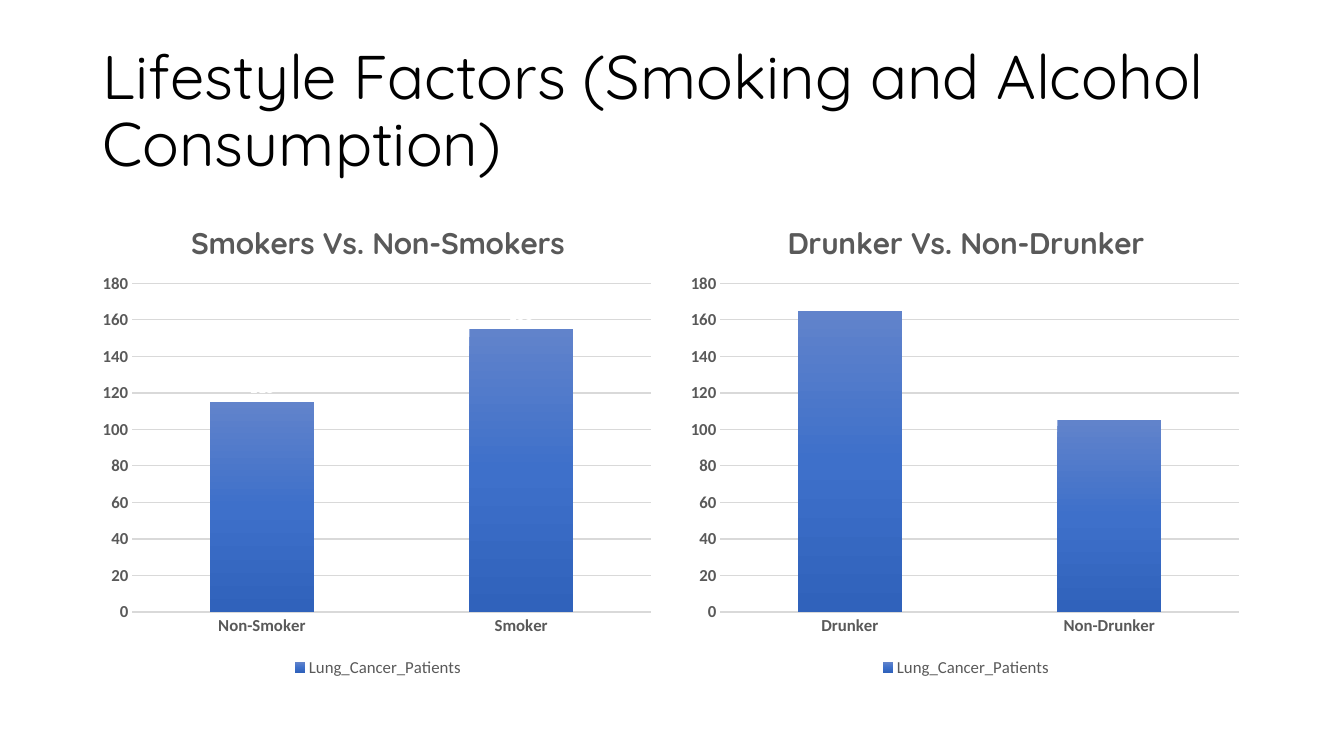
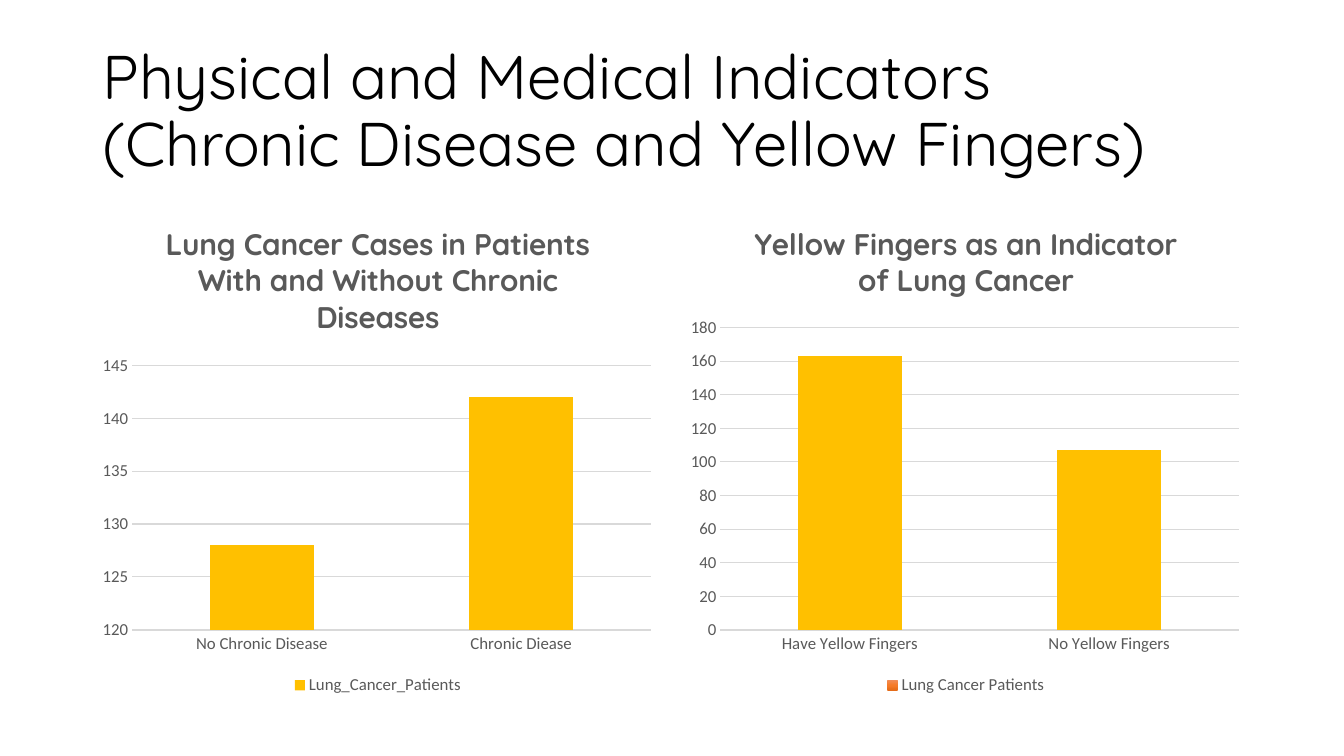
from lxml import etree
from pptx import Presentation
from pptx.chart.data import CategoryChartData
from pptx.dml.color import RGBColor
from pptx.enum.chart import (XL_CHART_TYPE, XL_LABEL_POSITION,
                             XL_LEGEND_POSITION, XL_TICK_MARK)
from pptx.enum.text import MSO_ANCHOR, MSO_AUTO_SIZE, PP_ALIGN
from pptx.oxml.ns import qn
from pptx.util import Pt

COLUMNS = XL_CHART_TYPE.COLUMN_CLUSTERED
ABOVE = XL_LABEL_POSITION.OUTSIDE_END
BOTTOM = XL_LEGEND_POSITION.BOTTOM
NO_TICK = XL_TICK_MARK.NONE
MIDDLE = MSO_ANCHOR.MIDDLE
NO_FIT = MSO_AUTO_SIZE.NONE
LEFT = PP_ALIGN.LEFT

PX = 9525  # EMU per px, 96 px to the inch
COLORS = {"title": "000000", "text": "595959", "grid": "D9D9D9",
          "label": "FFFFFF", "yellow": "FFC000"}
BLUE = ["6183CB", "3E70CA", "3062BB"]
ORANGE = ["F18C57", "F67B28", "E56C19"]
HEAD_FONT, BODY_FONT = "Quicksand", "Calibri"

# Shared layout, in px
TITLE_BOX = (88, 38, 1104, 139)
CHART_LEFTS = (88, 648)
CHART_TOP, CHART_W = 192, 544
PLOT_LEFT, PLOT_W, PLOT_BELOW = 38, 494, 66

SLIDES = [
    {"title": "Lifestyle Factors (Smoking and Alcohol Consumption)",
     "height": 457, "bold": True,
     "charts": [
         {"title": "Smokers Vs. Non-Smokers", "plot_top": 78,
          "series": "Lung_Cancer_Patients", "gradient": BLUE, "labels": True,
          "values": {"Non-Smoker": 115, "Smoker": 155}, "scale": (0, 180, 20)},
         {"title": "Drunker Vs. Non-Drunker", "plot_top": 78,
          "series": "Lung_Cancer_Patients", "gradient": BLUE,
          "values": {"Drunker": 165, "Non-Drunker": 105}, "scale": (0, 180, 20)},
     ]},
    {"title": "Physical and Medical Indicators (Chronic Disease and Yellow Fingers)",
     "height": 474, "bold": False,
     "charts": [
         {"title": "Lung Cancer Cases in Patients With and Without Chronic Diseases",
          "plot_top": 156, "series": "Lung_Cancer_Patients",
          "values": {"No Chronic Disease": 128, "Chronic Diease": 142},
          "scale": (120, 145, 5)},
         {"title": "Yellow Fingers as an Indicator of Lung Cancer",
          "plot_top": 120, "series": "Lung Cancer Patients",
          "gradient": ORANGE, "point_color": "yellow",
          "values": {"Have Yellow Fingers": 163, "No Yellow Fingers": 107},
          "scale": (0, 180, 20)},
     ]},
]


def rgb(name):
    return RGBColor.from_string(COLORS[name])


def set_font(font, name, size, color, bold=False):
    font.name, font.size, font.bold = name, Pt(size), bold
    font.color.rgb = rgb(color)


def fill_solid(fill, color):
    fill.solid()
    fill.fore_color.rgb = rgb(color)


def fill_gradient(series, stops):
    """Fill a series from top to bottom with evenly spaced stops."""
    fill = series.format.fill
    fill.gradient()
    fill.gradient_angle = 270
    gs_list = series._element.find(".//" + qn("a:gsLst"))
    for gs in list(gs_list):
        gs_list.remove(gs)
    for i, color in enumerate(stops):
        gs = etree.SubElement(gs_list, qn("a:gs"),
                              pos=str(100000 * i // (len(stops) - 1)))
        etree.SubElement(gs, qn("a:srgbClr"), val=color)


def place_plot(chart, top, height):
    """Fix the inner plot area as fractions of the chart frame."""
    area = chart.element.find(".//" + qn("c:plotArea"))
    for old in area.findall(qn("c:layout")):
        area.remove(old)
    layout = etree.Element(qn("c:layout"))
    area.insert(0, layout)
    manual = etree.SubElement(layout, qn("c:manualLayout"))
    settings = {
        "layoutTarget": "inner", "xMode": "edge", "yMode": "edge",
        "x": PLOT_LEFT / CHART_W, "y": top / height, "w": PLOT_W / CHART_W,
        "h": (height - PLOT_BELOW - top) / height}
    for tag, value in settings.items():
        etree.SubElement(manual, qn("c:" + tag), val=str(value))


def style_axes(chart, scale, bold):
    cat, val = chart.category_axis, chart.value_axis
    for axis in (cat, val):
        axis.major_tick_mark = axis.minor_tick_mark = NO_TICK
        set_font(axis.tick_labels.font, BODY_FONT, 12, "text", bold)
    cat.has_major_gridlines = False
    cat.format.line.color.rgb = rgb("grid")
    cat.format.line.width = Pt(1)
    val.minimum_scale, val.maximum_scale, val.major_unit = scale
    val.format.line.fill.background()
    val.has_major_gridlines = True
    val.major_gridlines.format.line.color.rgb = rgb("grid")
    val.major_gridlines.format.line.width = Pt(0.75)


def add_column_chart(s, left, height, bold, item):
    data = CategoryChartData()
    data.categories = list(item["values"])
    data.add_series(item["series"], list(item["values"].values()))
    box = [v * PX for v in (left, CHART_TOP, CHART_W, height)]
    chart = s.shapes.add_chart(COLUMNS, *box, data).chart
    set_font(chart.font, BODY_FONT, 10, "title")

    # Heading
    chart.has_title = True
    chart.chart_title.include_in_layout = False
    p = chart.chart_title.text_frame.paragraphs[0]
    p.text = item["title"]
    set_font(p.font, HEAD_FONT, 21.3, "text", True)
    set_font(p.runs[0].font, HEAD_FONT, 21.3, "text", True)

    # Legend, axes and plot area
    chart.has_legend = True
    chart.legend.position = BOTTOM
    chart.legend.include_in_layout = False
    set_font(chart.legend.font, BODY_FONT, 12, "text")
    style_axes(chart, item["scale"], bold)
    place_plot(chart, item["plot_top"], height)

    # Columns
    plot = chart.plots[0]
    plot.gap_width = 150
    plot.vary_by_categories = False
    series = plot.series[0]
    series.invert_if_negative = False
    if "gradient" in item:
        fill_gradient(series, item["gradient"])
    else:
        fill_solid(series.format.fill, "yellow")
    if "point_color" in item:
        for i in range(len(item["values"])):
            fill_solid(series.points[i].format.fill, item["point_color"])
    if item.get("labels"):
        labels = series.data_labels
        labels.show_value = True
        labels.position = ABOVE
        set_font(labels.font, BODY_FONT, 12, "label", True)


def add_title(s, text):
    title = s.shapes.title
    title.left, title.top, title.width, title.height = [v * PX for v in TITLE_BOX]
    tf = title.text_frame
    tf.text = text
    tf.word_wrap, tf.auto_size, tf.vertical_anchor = True, NO_FIT, MIDDLE
    p = tf.paragraphs[0]
    p.alignment, p.line_spacing = LEFT, 0.9
    set_font(p.font, HEAD_FONT, 44, "title")


def add_chart_slide(prs, page):
    s = prs.slides.add_slide(prs.slide_layouts[5])  # title only
    add_title(s, page["title"])
    for left, item in zip(CHART_LEFTS, page["charts"]):
        add_column_chart(s, left, page["height"], page["bold"], item)


def main():
    prs = Presentation()
    prs.slide_width, prs.slide_height = 1280 * PX, 720 * PX
    for page in SLIDES:
        add_chart_slide(prs, page)
    prs.save("out.pptx")


if __name__ == "__main__":
    main()
